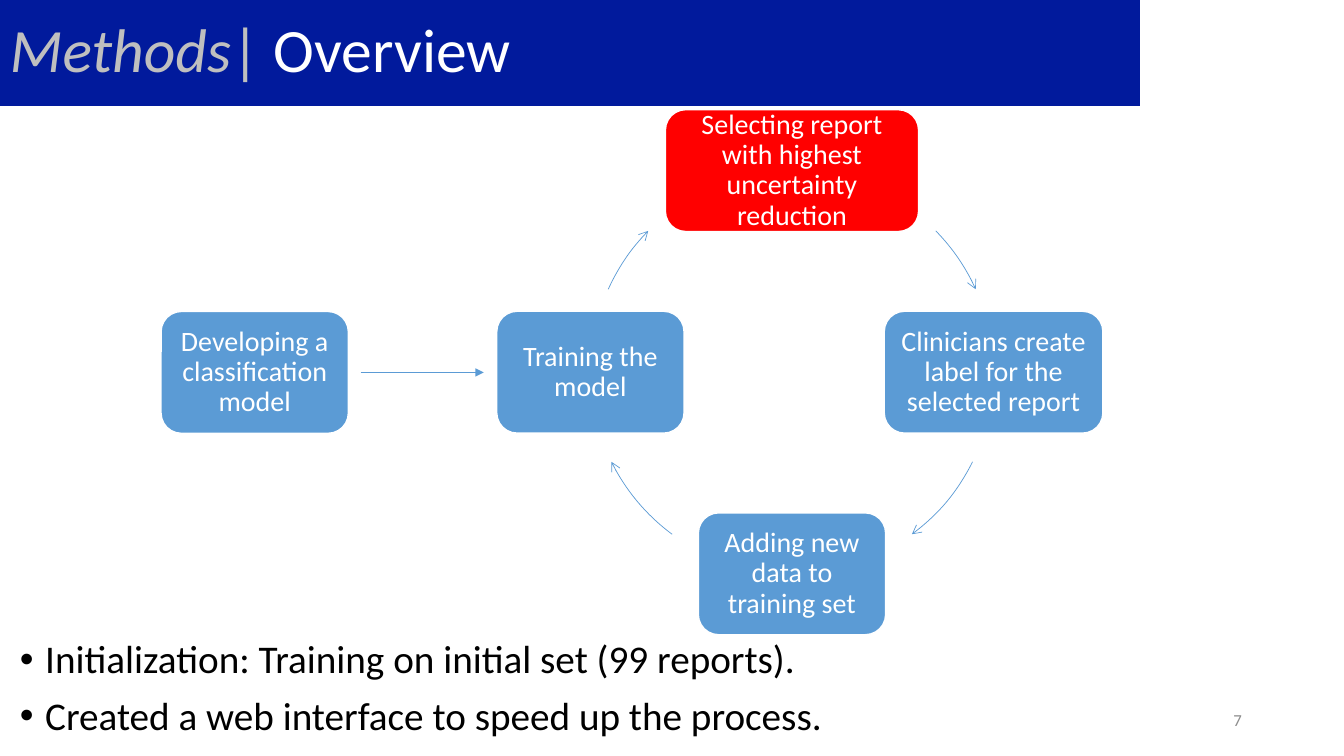
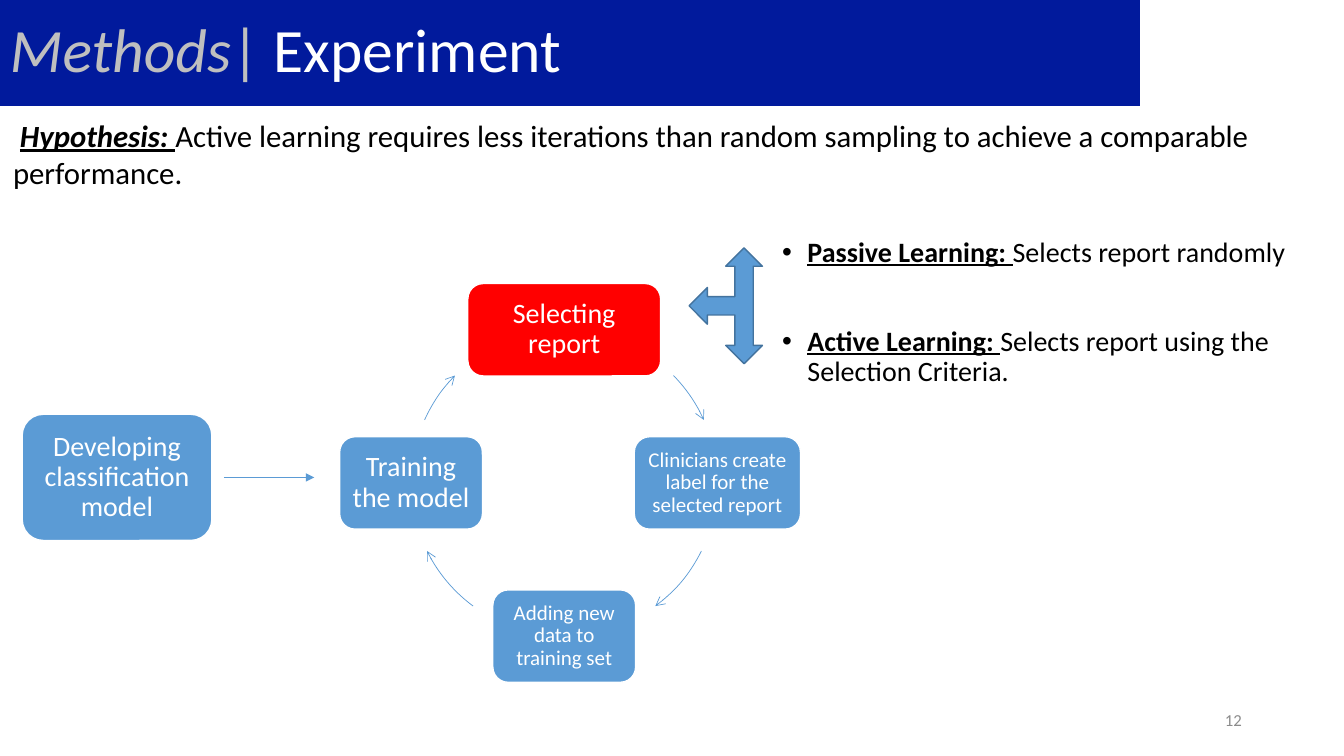
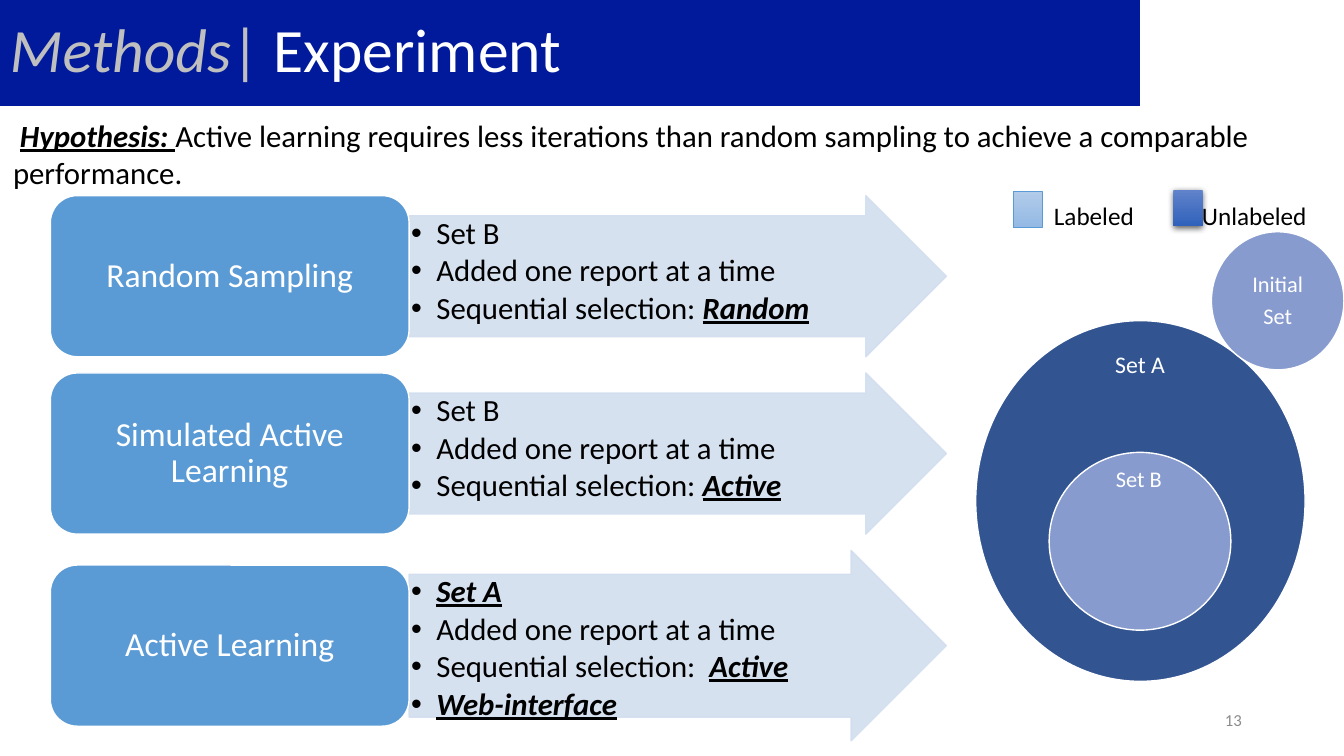
from dataclasses import dataclass

from lxml.etree import SubElement
from pptx import Presentation
from pptx.dml.color import RGBColor
from pptx.enum.shapes import MSO_CONNECTOR, MSO_SHAPE
from pptx.enum.text import MSO_ANCHOR, PP_ALIGN
from pptx.oxml.ns import qn
from pptx.util import Cm, Pt


@dataclass(frozen=True)
class Theme:
    font: str = "Calibri"
    navy: str = "011A9C"
    blue: str = "5B9BD5"
    steel: str = "43739E"
    pale: str = "D2DEEF"
    red: str = "FF0000"
    deep: str = "325491"
    lilac: str = "879BCE"
    white: str = "FFFFFF"
    black: str = "000000"
    silver: str = "BFBFBF"
    gray: str = "8C8C8C"
    light_fade: tuple = ("B1CBE9", "93B9E4")
    dark_fade: tuple = ("6183CB", "3062BB")
    title: int = 44
    body: int = 28
    label: int = 24
    lead: int = 22
    node: int = 20
    legend: int = 18
    ring: int = 17
    disc: int = 16
    small: int = 15
    page: int = 12


T = Theme()
STRONG = {"bold": True, "underline": True}
STRESS = {"bold": True, "italic": True, "underline": True}
LEFT = {"align": PP_ALIGN.LEFT, "anchor": MSO_ANCHOR.TOP, "color": T.black}
INSET = (0.25, 0.13)


def box(slide, kind, area, fill=None, edge=None, width=1):
    """Add a preset shape, or a text box if kind is None; area is in cm."""
    place = [Cm(v) for v in area]
    if kind is None:
        return slide.shapes.add_textbox(*place)
    shape = slide.shapes.add_shape(kind, *place)
    shape.shadow.inherit = False
    if fill is None:
        shape.fill.background()
    elif isinstance(fill, tuple):
        shape.fill.gradient()
        shape.fill.gradient_angle = 270
        for stop, tone in zip(shape.fill.gradient_stops, fill):
            stop.color.rgb = RGBColor.from_string(tone)
    else:
        shape.fill.solid()
        shape.fill.fore_color.rgb = RGBColor.from_string(fill)
    if edge:
        shape.line.color.rgb = RGBColor.from_string(edge)
        shape.line.width = Pt(width)
    else:
        shape.line.fill.background()
    return shape


def write(shape, rows, size, color=T.white, align=PP_ALIGN.CENTER,
          anchor=MSO_ANCHOR.MIDDLE, pad=INSET, gap=0, pitch=0.9, bullet=False):
    """Fill a shape with rows; a row is a list of (text, font values) runs."""
    frame = shape.text_frame
    across, down = (Cm(v) for v in pad)
    form = {"word_wrap": True, "vertical_anchor": anchor,
            "margin_left": across, "margin_right": across,
            "margin_top": down, "margin_bottom": down}
    for name, value in form.items():
        setattr(frame, name, value)
    for i, row in enumerate(rows):
        para = frame.add_paragraph() if i else frame.paragraphs[0]
        form = {"alignment": align, "line_spacing": pitch,
                "space_before": Pt(gap if i else 0)}
        for name, value in form.items():
            setattr(para, name, value)
        if bullet:
            props = para._p.get_or_add_pPr()
            props.set("marL", str(Cm(0.64)))
            props.set("indent", str(-Cm(0.64)))
            SubElement(props, qn("a:buFont"), typeface="Arial")
            SubElement(props, qn("a:buChar"), char="•")
        for text, marks in row:
            run = para.add_run()
            run.text = text
            form = {"name": T.font, "size": Pt(size), **marks}
            tone = form.pop("color", color)
            for name, value in form.items():
                setattr(run.font, name, value)
            run.font.color.rgb = RGBColor.from_string(tone)


deck = Presentation()
deck.slide_width, deck.slide_height = Cm(33.87), Cm(19.05)

# Title band, page number and hypothesis
slides = []
for topic, page in [("Overview", "7"), ("Experiment", "12"), ("Experiment", "13")]:
    slide = deck.slides.add_slide(deck.slide_layouts[6])
    slides.append(slide)
    band = box(slide, MSO_SHAPE.RECTANGLE, (0, 0, 28.73, 2.67), T.navy)
    write(band, [[("Methods", {"italic": True, "color": T.silver}),
                  ("| ", {"color": T.silver}), (topic, {})]],
          T.title, align=PP_ALIGN.LEFT)
    write(box(slide, None, (23.93, 17.65, 7.62, 1.02)), [[(page, {})]],
          T.page, T.gray, PP_ALIGN.RIGHT)
overview, choice, sets = slides
for slide in (choice, sets):
    write(box(slide, None, (0.08, 2.82, 33.3, 2.13)),
          [[(" ", {}), ("Hypothesis: ", STRESS),
            ("Active learning requires less iterations than random sampling "
             "to achieve a comparable performance.", {})]],
          T.lead, pitch=1, **LEFT)

# Learning cycles: nodes sit at the top, right, bottom and left of a circle
SIDES = [(0, -1), (1, 0), (0, 1), (-1, 0)]
ARCS = [(315.5, 335.7), (26.4, 53.5), (126.5, 153.6), (204.3, 224.5)]
ADD, TRAIN = "Adding new data to training set", "Training the model"
CLINIC = "Clinicians create label for the selected report"
cycles = [
    (overview, (19.96, 9.38), 5.08, 3.07,
     [("Selecting report with highest uncertainty reduction", 6.38, T.node),
      (CLINIC, 5.51, T.node), (ADD, 4.72, T.node), (TRAIN, 4.72, T.node)],
     "Developing a classification model", (4.06, 7.85, 4.72, 3.07), (9.09, 12.19)),
    (choice, (14.22, 12.17), 3.86, 2.33,
     [("Selecting report", 4.86, T.node), (CLINIC, 4.19, T.small),
      (ADD, 3.6, T.small), (TRAIN, 3.6, T.node)],
     "Developing classification model", (0.56, 10.44, 4.78, 3.18), (5.64, 7.92)),
]
for slide, (mx, my), radius, high, nodes, first, area, (start, end) in cycles:
    for (dx, dy), (text, wide, size), arc in zip(SIDES, nodes, ARCS):
        place = (mx + dx * radius - wide / 2, my + dy * radius - high / 2, wide, high)
        node = box(slide, MSO_SHAPE.ROUNDED_RECTANGLE, place,
                   T.red if dy < 0 else T.blue, T.white)
        write(node, [[(text, {})]], size, pad=(size / 100, size / 100))
        bend = box(slide, MSO_SHAPE.ARC,
                   (mx - radius, my - radius, 2 * radius, 2 * radius),
                   None, T.blue, 0.5)
        for i, angle in enumerate(arc):
            bend.adjustments[i] = angle * 0.6  # 60000 units a degree, over 100000
        SubElement(bend.line._get_or_add_ln(), qn("a:tailEnd"), type="arrow")
    write(box(slide, MSO_SHAPE.ROUNDED_RECTANGLE, area, T.blue, T.white),
          [[(first, {})]], T.node, pad=(0.2, 0.2))
    level = Cm(area[1] + area[3] / 2)
    link = slide.shapes.add_connector(MSO_CONNECTOR.STRAIGHT,
                                      Cm(start), level, Cm(end), level)
    link.line.color.rgb = RGBColor.from_string(T.blue)
    link.line.width = Pt(0.5)
    SubElement(link.line._get_or_add_ln(), qn("a:tailEnd"), type="triangle")
    SubElement(link._element.spPr, qn("a:effectLst"))

write(box(overview, None, (0.25, 16, 28.47, 2.9)),
      [[("Initialization: Training on initial set (99 reports).", {})],
       [("Created a web interface to speed up the process.", {})]],
      T.body, gap=10, bullet=True, **LEFT)

# Two ways of selecting a report
write(box(choice, None, (19.46, 5.87, 14.4, 4.57)),
      [[("Passive Learning: ", STRONG), ("Selects report randomly", {})],
       [("Active Learning: ", STRONG),
        ("Selects report using the Selection Criteria.", {})]],
      T.node, gap=42, bullet=True, **LEFT)
fork = box(choice, MSO_SHAPE.LEFT_RIGHT_UP_ARROW, (16.83, 6.78, 2.92, 1.85),
           T.blue, T.steel)
fork.rotation = 270

# Three arms of the experiment
ONE = [("Added one report at a time", {})]
arms = [
    ("Random Sampling", 4.06,
     [[("Set B", {})], ONE,
      [("Sequential selection: ", {}), ("Random", STRESS)]]),
    ("Simulated Active Learning", 4.06,
     [[("Set B", {})], ONE,
      [("Sequential selection: ", {}), ("Active", STRESS)]]),
    ("Active Learning", 4.8,
     [[("Set A", STRESS)], ONE,
      [("Sequential selection:  ", {}), ("Active", STRESS)],
      [("Web-interface", STRESS)]]),
]
top = 4.93
for name, high, rows in arms:
    arrow = box(sets, MSO_SHAPE.RIGHT_ARROW, (10.31, top, 13.54, high), T.pale, T.pale)
    arrow.adjustments[0] = 0.75
    for tone in arrow._element.spPr.iter(qn("a:srgbClr")):
        SubElement(tone, qn("a:alpha"), val="90000")
    write(arrow, rows, T.lead, pad=(0.05, 0.05), gap=3, bullet=True, **LEFT)
    label = box(sets, MSO_SHAPE.ROUNDED_RECTANGLE,
                (1.27, top + (high - 4.06) / 2, 9.04, 4.06), T.blue, T.white)
    write(label, [[(name, {})]], T.label)
    top += high + 0.41

# Nested sets
for area, fill in [((24.59, 8.08, 8.3, 9.09), T.deep),
                   ((26.44, 11.4, 4.58, 4.48), T.lilac)]:
    box(sets, MSO_SHAPE.OVAL, area, fill, T.white)
for text, area, size in [("Set A", (27.28, 8.53, 2.9, 1.37), T.ring),
                         ("Set B", (27.6, 11.68, 2.2, 0.84), T.disc)]:
    write(box(sets, None, area), [[(text, {})]], size, pad=(0, 0))
start = box(sets, MSO_SHAPE.OVAL, (30.53, 5.84, 3.34, 3.48), T.lilac, T.white)
write(start, [[("Initial", {})], [("Set", {})]], T.disc, pad=(0.2, 0.2), gap=5.6)

# Legend
for text, left, high, fill, edge, begin in [
        ("Labeled", 25.53, 4.83, T.light_fade, T.blue, 26.31),
        ("Unlabeled", 29.57, 4.78, T.dark_fade, None, 30.04)]:
    swatch = box(sets, MSO_SHAPE.RECTANGLE, (left, high, 0.74, 0.91), fill, edge, 0.5)
    write(box(sets, None, (begin, 4.93, 3.5, 1.02)), [[(text, {})]],
          T.legend, pitch=1, **LEFT)
    if edge is None:
        effects = swatch._element.spPr.find(qn("a:effectLst"))
        shade = SubElement(effects, qn("a:outerShdw"), blurRad=str(Pt(4.5)),
                           dist=str(Pt(1.5)), dir="5400000", rotWithShape="0")
        tone = SubElement(shade, qn("a:srgbClr"), val=T.black)
        SubElement(tone, qn("a:alpha"), val="63000")

deck.save("out.pptx")
